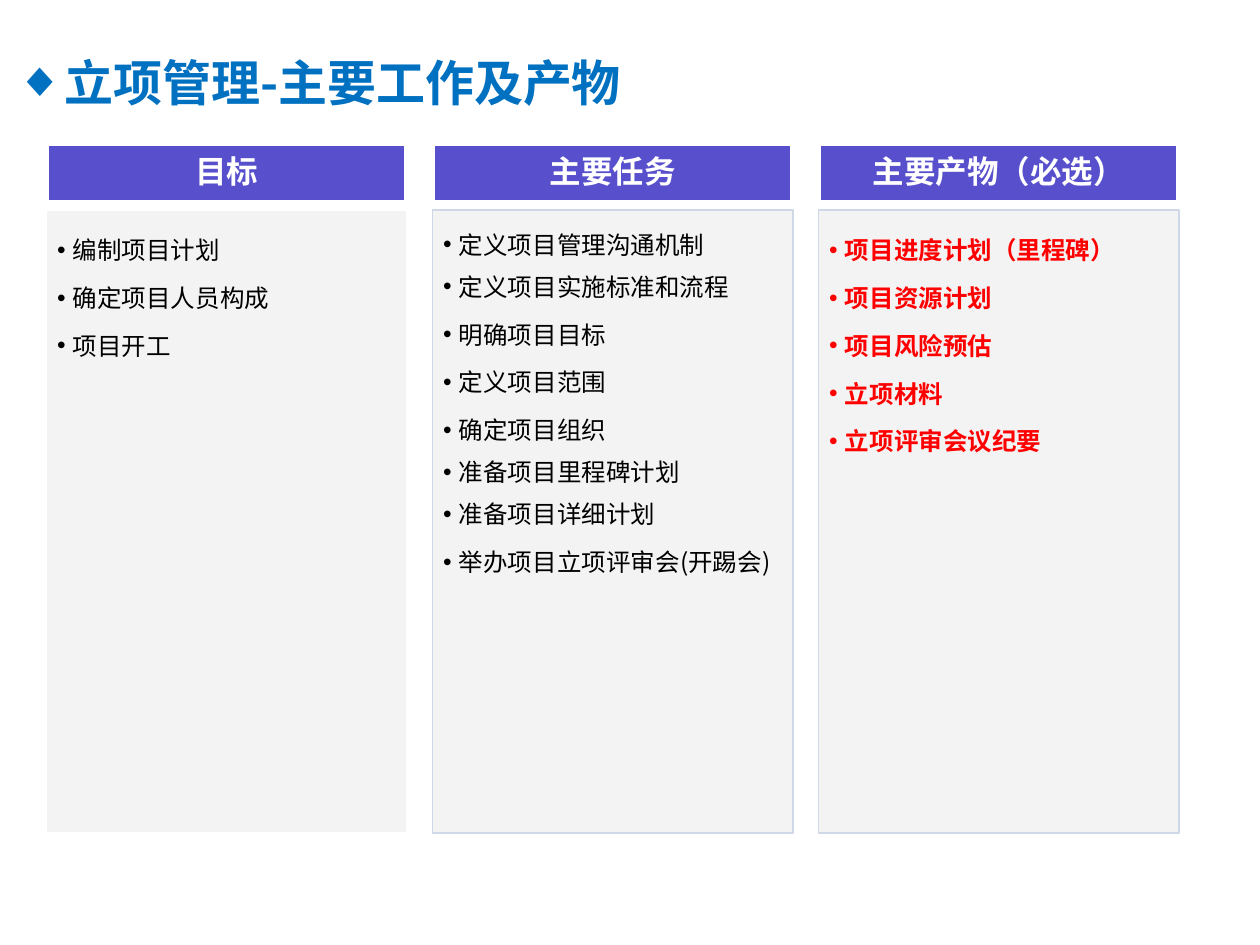
from pptx import Presentation
from pptx.dml.color import RGBColor
from pptx.enum.shapes import MSO_SHAPE
from pptx.enum.text import MSO_ANCHOR, PP_ALIGN
from pptx.oxml.ns import qn
from pptx.util import Pt
from lxml.etree import SubElement

BLUE = RGBColor(0x00, 0x70, 0xC0)
PURPLE = RGBColor(0x58, 0x4F, 0xCD)
GREY = RGBColor(0xF2, 0xF2, 0xF2)
PALE_BLUE = RGBColor(0xCF, 0xD8, 0xE7)
WHITE = RGBColor(0xFF, 0xFF, 0xFF)
BLACK = RGBColor(0x00, 0x00, 0x00)
RED = RGBColor(0xFF, 0x00, 0x00)

CJK_FONT = "Noto Sans CJK SC"
LEFT, PITCH, WIDTH = 26.6, 220.6, 206
TIGHT, LOOSE = 22, 25.2

COLUMNS = [
    ("目标", WHITE, BLACK, False, [
        ("编制项目计划", LOOSE),
        ("确定项目人员构成", LOOSE),
        ("项目开工", LOOSE),
    ]),
    ("主要任务", PALE_BLUE, BLACK, False, [
        ("定义项目管理沟通机制", TIGHT),
        ("定义项目实施标准和流程", TIGHT),
        ("明确项目目标", LOOSE),
        ("定义项目范围", LOOSE),
        ("确定项目组织", LOOSE),
        ("准备项目里程碑计划", TIGHT),
        ("准备项目详细计划", TIGHT),
        ("举办项目立项评审会(开踢会)", LOOSE),
    ]),
    ("主要产物（必选）", PALE_BLUE, RED, True, [
        ("项目进度计划（里程碑）", LOOSE),
        ("项目资源计划", LOOSE),
        ("项目风险预估", LOOSE),
        ("立项材料", LOOSE),
        ("立项评审会议纪要", LOOSE),
    ]),
]


def format_runs(p, font, size, color, bold):
    for r in p.runs:
        r.font.name = font
        r.font.size = Pt(size)
        r.font.bold = bold
        r.font.color.rgb = color
        SubElement(r.font._element, qn("a:ea"), typeface=font)


def add_bullet(p, char, indent):
    pPr = p._p.get_or_add_pPr()
    pPr.set("marL", str(Pt(indent)))
    pPr.set("indent", str(-Pt(indent)))
    SubElement(pPr, qn("a:buFont"), typeface="Arial")
    SubElement(pPr, qn("a:buChar"), char=char)


def set_insets(tf, left, top, right, bottom):
    tf.margin_left, tf.margin_top = Pt(left), Pt(top)
    tf.margin_right, tf.margin_bottom = Pt(right), Pt(bottom)


def add_title(s, text):
    tf = s.shapes.add_textbox(Pt(2), Pt(24), Pt(492), Pt(41)).text_frame
    tf.word_wrap = True
    p = tf.paragraphs[0]
    p.text = text
    p.line_spacing = Pt(36)
    add_bullet(p, "◆", 27)
    format_runs(p, CJK_FONT, 28, BLUE, True)


def add_box(s, left, top, height, fill, line, line_width):
    sp = s.shapes.add_shape(MSO_SHAPE.RECTANGLE, Pt(left), Pt(top), Pt(WIDTH), Pt(height))
    sp.shadow.inherit = False
    sp.fill.solid()
    sp.fill.fore_color.rgb = fill
    sp.line.color.rgb = line
    sp.line.width = Pt(line_width)
    sp.text_frame.word_wrap = True
    return sp


def add_header(s, left, text):
    tf = add_box(s, left, 82, 34, PURPLE, WHITE, 3).text_frame
    tf.vertical_anchor = MSO_ANCHOR.MIDDLE
    set_insets(tf, 10, 6, 10, 6)
    p = tf.paragraphs[0]
    p.text = text
    p.alignment = PP_ALIGN.CENTER
    p.line_spacing = 0.9
    format_runs(p, "Arial", 18, WHITE, True)


def add_panel(s, left, items, line, color, bold):
    sp = add_box(s, left, 120, 356, GREY, line, 0.75)
    rgb = sp._element.spPr.find(qn("a:solidFill")).find(qn("a:srgbClr"))
    SubElement(rgb, qn("a:alpha"), val="89000")
    tf = sp.text_frame
    tf.vertical_anchor = MSO_ANCHOR.TOP
    set_insets(tf, 6, 6, 8, 9)
    for i, (text, spacing) in enumerate(items):
        p = tf.add_paragraph() if i else tf.paragraphs[0]
        p.text = text
        p.alignment = PP_ALIGN.LEFT
        p.line_spacing = Pt(spacing)
        p.space_after = Pt(2.1)
        add_bullet(p, "•", 9)
        format_runs(p, CJK_FONT, 14, color, bold)


def main():
    prs = Presentation()
    prs.slide_width, prs.slide_height = Pt(720), Pt(540)
    s = prs.slides.add_slide(prs.slide_layouts[6])
    add_title(s, "立项管理-主要工作及产物")
    for i, (heading, line, color, bold, items) in enumerate(COLUMNS):
        left = LEFT + i * PITCH
        add_header(s, left, heading)
        add_panel(s, left, items, line, color, bold)
    prs.save("out.pptx")


if __name__ == "__main__":
    main()
